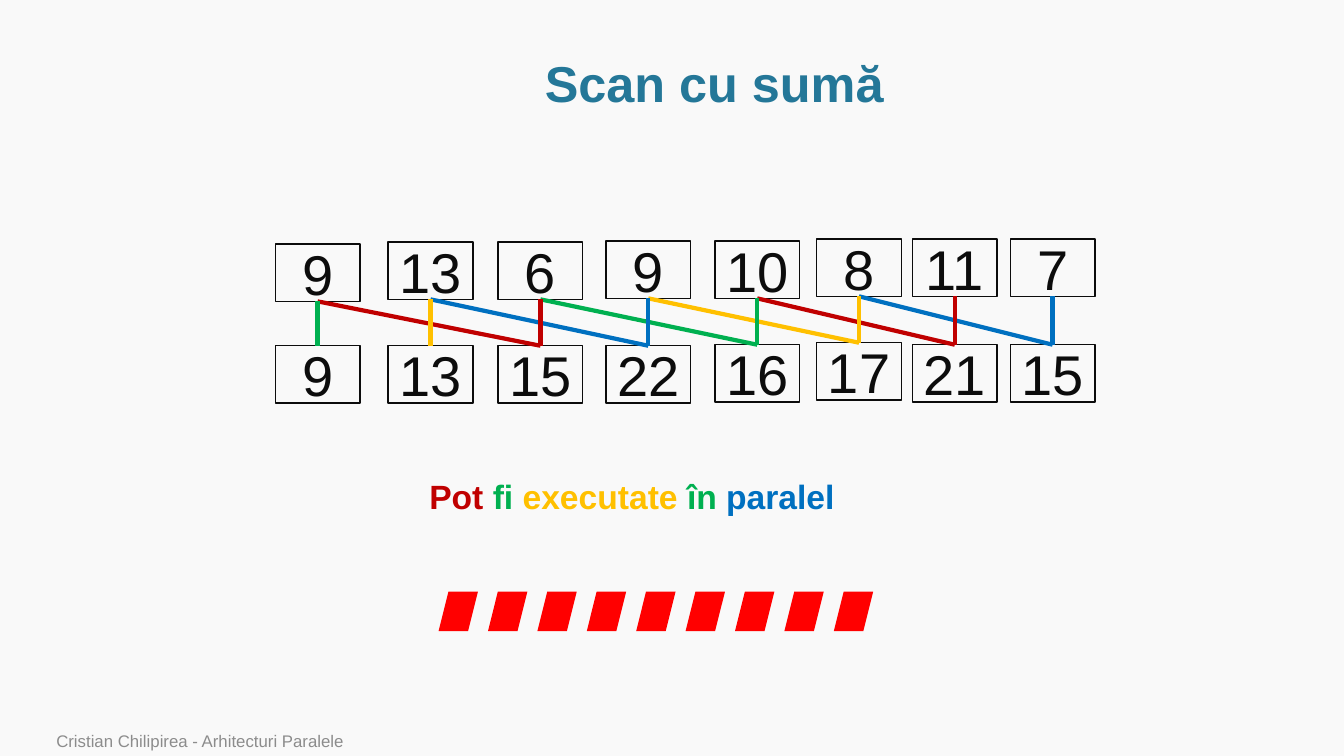
from lxml.etree import SubElement
from pptx import Presentation
from pptx.dml.color import RGBColor as RGB
from pptx.enum.shapes import MSO_CONNECTOR as Conn, MSO_SHAPE as Shape
from pptx.enum.text import MSO_ANCHOR as Anchor, MSO_AUTO_SIZE as Auto, PP_ALIGN as Align
from pptx.oxml.ns import qn
from pptx.util import Inches, Pt

HUES = {"back": "F9F9F9", "title": "247798", "ink": "0C0C0C", "foot": "8C8C8C",
        "red": "C00000", "green": "00B050", "gold": "FFC000", "blue": "0070C0",
        "bar": "FF0000"}
LEFTS = [2.73, 3.85, 4.94, 6.01, 7.09, 8.1, 9.05, 10.02]
TOPS = [2.42, 2.4, 2.4, 2.39, 2.39, 2.37, 2.37, 2.37]
LOWS = [3.43, 3.43, 3.43, 3.43, 3.42, 3.4, 3.42, 3.42]
VALS = [9, 13, 6, 9, 10, 8, 11, 7]
TINTS = ["green", "gold", "red", "blue", "green", "gold", "red", "blue"]
STEP = 2


class Board:
    """Holds the style and the current slide."""

    def __init__(self, slide, font="Arial"):
        self.slide = slide
        self.font = font
        fill = slide.background.fill
        fill.solid()
        fill.fore_color.rgb = self.hue("back")

    def hue(self, name):
        return RGB.from_string(HUES[name])

    def text(self, frame, runs, size, bold=False, align=Align.LEFT, anchor=Anchor.TOP):
        frame.vertical_anchor = anchor
        para = frame.paragraphs[0]
        para.alignment = align
        for words, tint in runs:
            run = para.add_run()
            run.text = words
            font = run.font
            font.name, font.size, font.bold = self.font, Pt(size), bold
            font.color.rgb = self.hue(tint)
        return para

    def title(self, words, *area):
        box = self.slide.shapes.title
        box.left, box.top, box.width, box.height = map(Inches, area)
        para = self.text(box.text_frame, [(words, "title")], 36, True,
                         Align.CENTER, Anchor.MIDDLE)
        para.line_spacing = 0.9

    def label(self, runs, size, *area, wrap=True, **style):
        frame = self.slide.shapes.add_textbox(*map(Inches, area)).text_frame
        frame.word_wrap = wrap
        frame.auto_size = Auto.NONE if wrap else Auto.SHAPE_TO_FIT_TEXT
        self.text(frame, runs, size, **style)

    def cell(self, val, left, top):
        box = self.slide.shapes.add_shape(
            Shape.RECTANGLE, *map(Inches, (left, top, 0.84, 0.57)))
        box.shadow.inherit = False
        box.fill.background()
        box.line.color.rgb = self.hue("ink")
        box.line.width = Pt(1)
        self.text(box.text_frame, [(str(val), "ink")], 40,
                  align=Align.CENTER, anchor=Anchor.MIDDLE)
        return box

    def link(self, start, end, tint):
        line = self.slide.shapes.add_connector(Conn.STRAIGHT, 0, 0, 0, 0)
        line.begin_connect(start, 2)
        line.end_connect(end, 0)
        line.line.color.rgb = self.hue(tint)
        line.line.width = Pt(3)
        SubElement(line._element.spPr, qn("a:effectLst"))

    def bar(self, left, top, side):
        box = self.slide.shapes.add_shape(
            Shape.PARALLELOGRAM, *map(Inches, (left, top, side, side)))
        box.shadow.inherit = False
        box.fill.solid()
        box.fill.fore_color.rgb = self.hue("bar")
        box.line.fill.background()


def main():
    deck = Presentation()
    deck.slide_width, deck.slide_height = Inches(13.33), Inches(7.5)
    board = Board(deck.slides.add_slide(deck.slide_layouts[5]))
    board.title("Scan cu sumă", 1.14, 0.51, 11.89, 0.69)

    sums = [val + (VALS[i - STEP] if i >= STEP else 0) for i, val in enumerate(VALS)]
    upper = [board.cell(*item) for item in zip(VALS, LEFTS, TOPS)]
    lower = [board.cell(*item) for item in zip(sums, LEFTS, LOWS)]
    for i in reversed(range(len(VALS))):
        if i >= STEP:
            board.link(upper[i - STEP], lower[i], TINTS[i])
        board.link(upper[i], lower[i], TINTS[i])

    board.label([("Pot ", "red"), ("fi ", "green"), ("executate ", "gold"),
                 ("în", "green"), (" paralel", "blue")],
                24, 4.16, 4.67, 4.26, 0.5, wrap=False, bold=True)
    for i in range(9):
        board.bar(4.35 + 0.49 * i, 5.87, 0.39)
    board.label([("Cristian Chilipirea - Arhitecturi Paralele", "foot")],
                12, 0.46, 7.22, 9.82, 0.28, anchor=Anchor.BOTTOM)
    deck.save("out.pptx")


if __name__ == "__main__":
    main()
